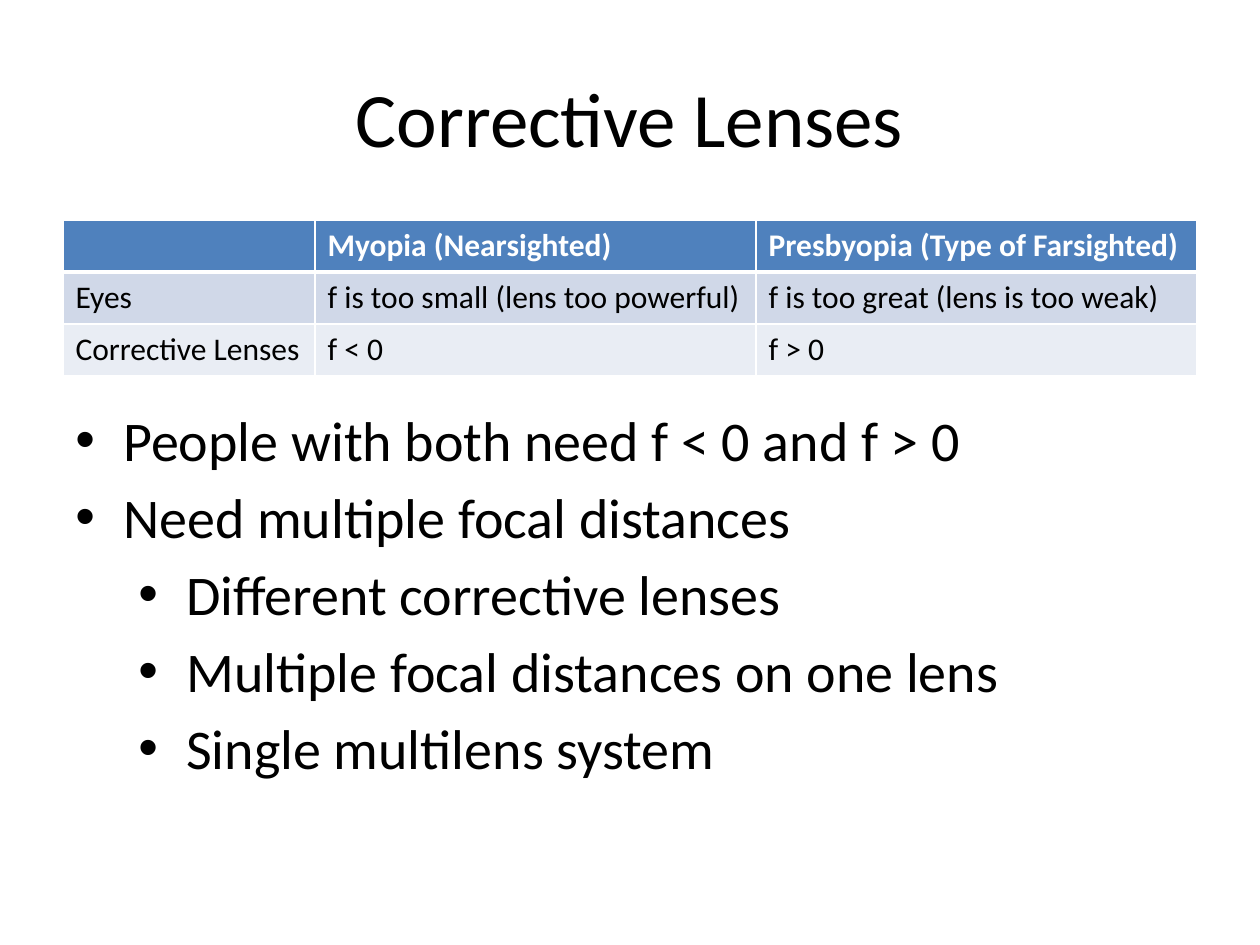
"""Build the Corrective Lenses slide with a comparison table and bullets."""
import pptx
import pptx.util
import pptx.dml.color
import pptx.enum.text
import pptx.oxml
import pptx.oxml.ns

Inches = pptx.util.Inches
Pt = pptx.util.Pt


def color(code):
    return pptx.dml.color.RGBColor.from_string(code)


def write(para, text, size, code="000000", bold=False):
    run = para.add_run()
    run.text = text
    run.font.name = "Calibri"
    run.font.size = Pt(size)
    run.font.bold = bold
    run.font.color.rgb = color(code)


deck = pptx.Presentation()
deck.slide_width = Inches(10)
deck.slide_height = Inches(7.5)
slide = deck.slides.add_slide(deck.slide_layouts[6])
left, width = Inches(0.5), Inches(9)

title = slide.shapes.add_textbox(left, Inches(0.3), width, Inches(1.25)).text_frame
title.word_wrap = True
title.vertical_anchor = pptx.enum.text.MSO_ANCHOR.MIDDLE
title.paragraphs[0].alignment = pptx.enum.text.PP_ALIGN.CENTER
write(title.paragraphs[0], "Corrective Lenses", 44)

rows = [
    ["", "Myopia (Nearsighted)", "Presbyopia (Type of Farsighted)"],
    ["Eyes", "f is too small (lens too powerful)", "f is too great (lens is too weak)"],
    ["Corrective Lenses", "f < 0", "f > 0"],
]
fills = ["4F81BD", "D0D8E8", "E9EDF4"]
table = slide.shapes.add_table(3, 3, left, Inches(1.75), width, Inches(1.22)).table
for col, size in zip(table.columns, [2, 3.5, 3.5]):
    col.width = Inches(size)
for r, (row, fill) in enumerate(zip(rows, fills)):
    table.rows[r].height = Inches(0.41)
    head = r == 0
    for c, text in enumerate(row):
        cell = table.cell(r, c)
        props = cell._tc.get_or_add_tcPr()
        for side in "LRTB":
            thick = (r, side) in [(0, "B"), (1, "T")]
            props.append(pptx.oxml.parse_xml(
                f'<a:ln{side} {pptx.oxml.ns.nsdecls("a")} w="{Pt(3 if thick else 1)}">'
                f'<a:solidFill><a:srgbClr val="FFFFFF"/></a:solidFill></a:ln{side}>'))
        cell.fill.solid()
        cell.fill.fore_color.rgb = color(fill)
        if text:
            write(cell.text_frame.paragraphs[0], text, 18,
                  "FFFFFF" if head else "000000", head)

points = [
    (0, "People with both need f < 0 and f > 0"),
    (0, "Need multiple focal distances"),
    (1, "Different corrective lenses"),
    (1, "Multiple focal distances on one lens"),
    (1, "Single multilens system"),
]
body = slide.shapes.add_textbox(left, Inches(3.17), width, Inches(3.53)).text_frame
body.word_wrap = True
for i, (level, text) in enumerate(points):
    para = body.add_paragraph() if i else body.paragraphs[0]
    para.level = level
    para.space_before = Pt(5.6)
    props = para._p.get_or_add_pPr()
    props.set("marL", str(Inches(0.38 + 0.5 * level)))
    props.set("indent", str(Inches(-0.38)))
    for tag in ['buFont typeface="Arial"', 'buChar char="•"']:
        props.append(pptx.oxml.parse_xml(f'<a:{tag} {pptx.oxml.ns.nsdecls("a")}/>'))
    write(para, text, 32)

deck.save("out.pptx")
